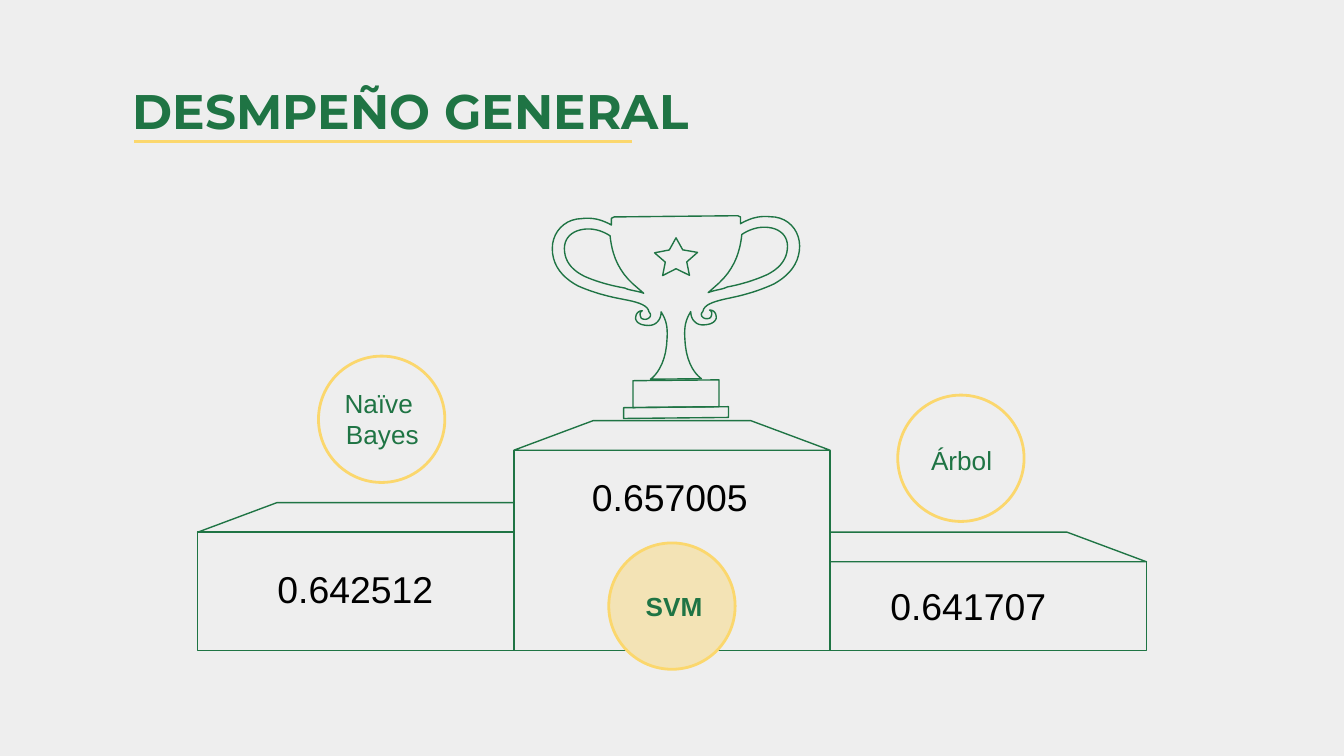
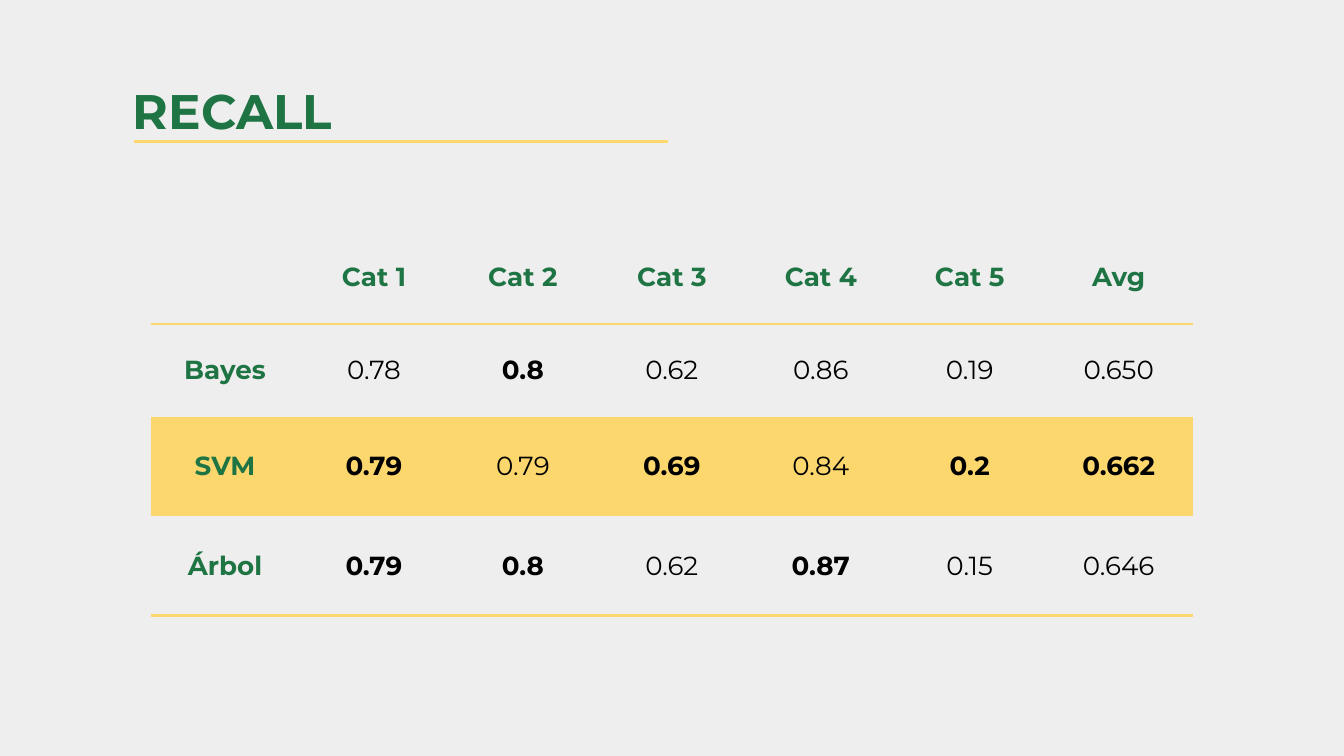
"""Build the two result slides: overall performance podium and recall table."""
from dataclasses import dataclass

from lxml.etree import SubElement
from pptx import Presentation
from pptx.dml.color import RGBColor
from pptx.enum.shapes import MSO_CONNECTOR, MSO_SHAPE
from pptx.enum.text import MSO_ANCHOR, PP_ALIGN
from pptx.oxml import parse_xml
from pptx.oxml.ns import nsdecls, qn
from pptx.util import Inches, Pt


@dataclass(frozen=True)
class Theme:
    background: str = "EEEEEE"
    green: str = "1F7444"
    yellow: str = "FBD76D"
    winner: str = "F3E3B5"
    black: str = "000000"
    heading_font: str = "Montserrat"
    body_font: str = "Arial"
    title_size: int = 26
    score_size: int = 20
    label_size: int = 14
    thick: float = 1.5
    thin: float = 0.75


THEME = Theme()
SLIDE_WIDTH = Inches(10)
SLIDE_HEIGHT = SLIDE_WIDTH * 9 // 16
NO_TABLE_STYLE = "{2D5ABB26-0587-4C30-8999-92F81FD0307C}"

PODIUM = {"left": 1.47, "width": 7.06, "bottom": 4.84, "depth": 0.22, "slant": 0.59}
STEPS = [
    {"top": 3.96, "slant_left": True, "slant_right": False},
    {"top": 3.35, "slant_left": True, "slant_right": True},
    {"top": 4.18, "slant_left": False, "slant_right": True},
]
BADGE_SIZE = 0.94
LABEL_WIDTH = 2.05
BADGES = [
    {"lines": ["Naïve ", "Bayes"], "at": (2.37, 2.65), "label": (1.82, 2.78), "winner": False},
    {"lines": ["SVM"], "at": (4.53, 4.04), "label": (3.99, 4.29), "winner": True},
    {"lines": ["Árbol"], "at": (6.68, 2.94), "label": (6.13, 3.21), "winner": False},
]
SCORES = [("0.642512", 1.62, 4.11), ("0.657005", 3.96, 3.43), ("0.641707", 6.18, 4.24)]

TROPHY_AXIS = 5.03
TROPHY_TILT = 0.01
CUP_HALF = [
    (5.03, 1.61), (4.57, 1.61), (4.55, 1.62), (4.55, 1.67),
    (4.48, 1.63, 4.41, 1.61, 4.33, 1.62),
    (4.2, 1.62, 4.11, 1.72, 4.11, 1.84),
    (4.11, 1.97, 4.19, 2.06, 4.3, 2.12),
    (4.41, 2.17, 4.52, 2.2, 4.62, 2.22),
    (4.72, 2.24, 4.82, 2.26, 4.83, 2.32),
    (4.85, 2.34, 4.84, 2.36, 4.82, 2.37),
    (4.8, 2.38, 4.77, 2.37, 4.77, 2.36),
    (4.76, 2.34, 4.76, 2.32, 4.78, 2.31),
    (4.75, 2.31, 4.73, 2.33, 4.73, 2.37),
    (4.74, 2.41, 4.79, 2.42, 4.83, 2.42),
    (4.88, 2.42, 4.92, 2.38, 4.92, 2.32),
    (4.97, 2.4, 4.97, 2.46, 4.96, 2.57),
    (4.94, 2.76, 4.84, 2.82, 4.84, 2.82),
    (5.03, 2.82),
]
HANDLE_HOLE = [
    (4.79, 2.18),
    (4.74, 2.16, 4.69, 2.16, 4.65, 2.14),
    (4.54, 2.12, 4.44, 2.09, 4.35, 2.05),
    (4.25, 2, 4.2, 1.93, 4.2, 1.84),
    (4.2, 1.76, 4.26, 1.71, 4.34, 1.7),
    (4.41, 1.69, 4.48, 1.71, 4.54, 1.75),
    (4.55, 1.85, 4.58, 1.99, 4.71, 2.11),
]
PLINTH_HALF = [(5.03, 2.83), (4.71, 2.83), (4.71, 3.03), (5.03, 3.03)]
FOOT_HALF = [(5.03, 3.03), (4.64, 3.03), (4.64, 3.11), (5.03, 3.11)]
STAR_HALF = [(5.03, 1.77), (4.98, 1.86), (4.87, 1.88), (4.95, 1.95), (4.93, 2.05), (5.03, 2)]

RECALL_HEADER = ["", "Cat 1", "Cat 2", "Cat 3", "Cat 4", "Cat 5", "Avg"]
RECALL_ROWS = [
    ["Bayes", "0.78", "0.8", "0.62", "0.86", "0.19", "0.650"],
    ["SVM", "0.79", "0.79", "0.69", "0.84", "0.2", "0.662"],
    ["Árbol", "0.79", "0.8", "0.62", "0.87", "0.15", "0.646"],
]
RECALL_BOX = (1.12, 1.71, 7.76, 2.87)
RECALL_HEIGHTS = [0.7, 0.69, 0.74, 0.74]
HIGHLIGHT = "SVM"


def rgb(value):
    return RGBColor.from_string(value)


def apply(target, values):
    for name, value in values.items():
        setattr(target, name, value)


def write(frame, lines, size, color, font, bold=False, align=PP_ALIGN.CENTER):
    for index, line in enumerate(lines):
        paragraph = frame.add_paragraph() if index else frame.paragraphs[0]
        paragraph.alignment = align
        run = paragraph.add_run()
        run.text = line
        apply(run.font, {"size": Pt(size), "name": font, "bold": bold})
        run.font.color.rgb = rgb(color)


def add_text(slide, box, lines, **style):
    frame = slide.shapes.add_textbox(*map(Inches, box)).text_frame
    margins = ("margin_left", "margin_top", "margin_right", "margin_bottom")
    apply(frame, {"word_wrap": True, **dict.fromkeys(margins, Inches(0.1))})
    write(frame, lines, **style)


def outline(shape, color, width, fill=None):
    shape.shadow.inherit = False
    shape.line.color.rgb = rgb(color)
    shape.line.width = Pt(width)
    if fill:
        shape.fill.solid()
        shape.fill.fore_color.rgb = rgb(fill)
    else:
        shape.fill.background()


def add_outline(slide, contours):
    contours = [[(Inches(x), Inches(y)) for x, y in contour] for contour in contours]
    builder = slide.shapes.build_freeform(*contours[0][0])
    for index, contour in enumerate(contours):
        if index:
            builder.move_to(*contour[0])
        builder.add_line_segments(contour[1:], close=True)
    outline(builder.convert_to_shape(), THEME.green, THEME.thin)


def flatten(segments, steps=10):
    points = []
    for segment in segments:
        if len(segment) == 2:
            points.append(segment)
            continue
        knots = [points[-1], segment[:2], segment[2:4], segment[4:]]
        for step in range(1, steps + 1):
            t = step / steps
            weights = ((1 - t) ** 3, 3 * t * (1 - t) ** 2, 3 * t * t * (1 - t), t ** 3)
            points.append(tuple(sum(w * knot[axis] for w, knot in zip(weights, knots))
                                for axis in (0, 1)))
    return points


def mirror(points):
    return [(2 * TROPHY_AXIS - x, y) for x, y in points]


def tilt(points):
    return [(x, y - TROPHY_TILT * (x - TROPHY_AXIS)) for x, y in points]


def symmetric(half):
    points = flatten(half)
    return tilt(points + mirror(points)[-2:0:-1])


def add_slide(presentation, title, rule_end):
    slide = presentation.slides.add_slide(presentation.slide_layouts[6])
    slide.background.fill.solid()
    slide.background.fill.fore_color.rgb = rgb(THEME.background)
    add_text(slide, (0.89, 0.5, 8.21, 0.63), [title], size=THEME.title_size,
             color=THEME.green, font=THEME.heading_font, bold=True, align=PP_ALIGN.LEFT)
    rule = slide.shapes.add_connector(
        MSO_CONNECTOR.STRAIGHT, *map(Inches, (1, 1.05, rule_end, 1.05)))
    rule.line.color.rgb = rgb(THEME.yellow)
    rule.line.width = Pt(THEME.thick)
    SubElement(rule._element.spPr, qn("a:effectLst"))
    return slide


def add_podium(slide):
    width = PODIUM["width"] / len(STEPS)
    for index, step in enumerate(STEPS):
        left = PODIUM["left"] + index * width
        right = left + width
        top, bottom = step["top"], PODIUM["bottom"]
        back = top - PODIUM["depth"]
        back_left = left + PODIUM["slant"] * step["slant_left"]
        back_right = right - PODIUM["slant"] * step["slant_right"]
        add_outline(slide, [[(back_left, back), (back_right, back), (right, top), (left, top)]])
        add_outline(slide, [[(left, top), (left, bottom), (right, bottom), (right, top)]])


def add_trophy(slide):
    hole = flatten(HANDLE_HOLE)
    add_outline(slide, [symmetric(CUP_HALF), tilt(hole), tilt(mirror(hole))])
    for half in (PLINTH_HALF, FOOT_HALF, STAR_HALF):
        add_outline(slide, [symmetric(half)])


def add_badge(slide, badge):
    circle = slide.shapes.add_shape(
        MSO_SHAPE.OVAL, *map(Inches, (*badge["at"], BADGE_SIZE, BADGE_SIZE)))
    outline(circle, THEME.yellow, THEME.thick, THEME.winner if badge["winner"] else None)
    add_text(slide, (*badge["label"], LABEL_WIDTH, 0.63), badge["lines"],
             size=THEME.label_size, color=THEME.green, font=THEME.body_font,
             bold=badge["winner"])


def add_bottom_border(cell):
    cell._tc.get_or_add_tcPr().insert(0, parse_xml(
        f'<a:lnB {nsdecls("a")} w="{Pt(THEME.thick)}"><a:solidFill>'
        f'<a:srgbClr val="{THEME.yellow}"/></a:solidFill></a:lnB>'))


def add_recall_table(slide):
    rows = [RECALL_HEADER, *RECALL_ROWS]
    best = [max(map(float, column)) for column in list(zip(*RECALL_ROWS))[1:]]
    frame = slide.shapes.add_table(len(rows), len(RECALL_HEADER), *map(Inches, RECALL_BOX))
    table = frame.table
    apply(table, {"first_row": False, "horz_banding": False})
    table._tbl.tblPr.find(qn("a:tableStyleId")).text = NO_TABLE_STYLE
    for row, height in zip(table.rows, RECALL_HEIGHTS):
        row.height = Inches(height)
    for row_index, values in enumerate(rows):
        for column_index, value in enumerate(values):
            cell = table.cell(row_index, column_index)
            apply(cell, {"vertical_anchor": MSO_ANCHOR.MIDDLE, "margin_left": Inches(0.1),
                         "margin_right": Inches(0.1), "margin_top": Inches(0.1),
                         "margin_bottom": Inches(0.1)})
            if values[0] == HIGHLIGHT:
                cell.fill.solid()
                cell.fill.fore_color.rgb = rgb(THEME.yellow)
            else:
                cell.fill.background()
            if row_index in (0, len(rows) - 1):
                add_bottom_border(cell)
            heading = row_index == 0 or column_index == 0
            if value:
                write(cell.text_frame, [value], THEME.label_size,
                      THEME.green if heading else THEME.black, THEME.heading_font,
                      bold=heading or float(value) == best[column_index - 1])


def main():
    presentation = Presentation()
    apply(presentation, {"slide_width": SLIDE_WIDTH, "slide_height": SLIDE_HEIGHT})

    performance = add_slide(presentation, "DESMPEÑO GENERAL", 4.7)
    add_podium(performance)
    add_trophy(performance)
    for badge in BADGES:
        add_badge(performance, badge)
    for score, left, top in SCORES:
        add_text(performance, (left, top, LABEL_WIDTH, 0.87), [score], size=THEME.score_size,
                 color=THEME.black, font=THEME.body_font)

    recall = add_slide(presentation, "RECALL", 4.97)
    add_recall_table(recall)
    presentation.save("out.pptx")


if __name__ == "__main__":
    main()
